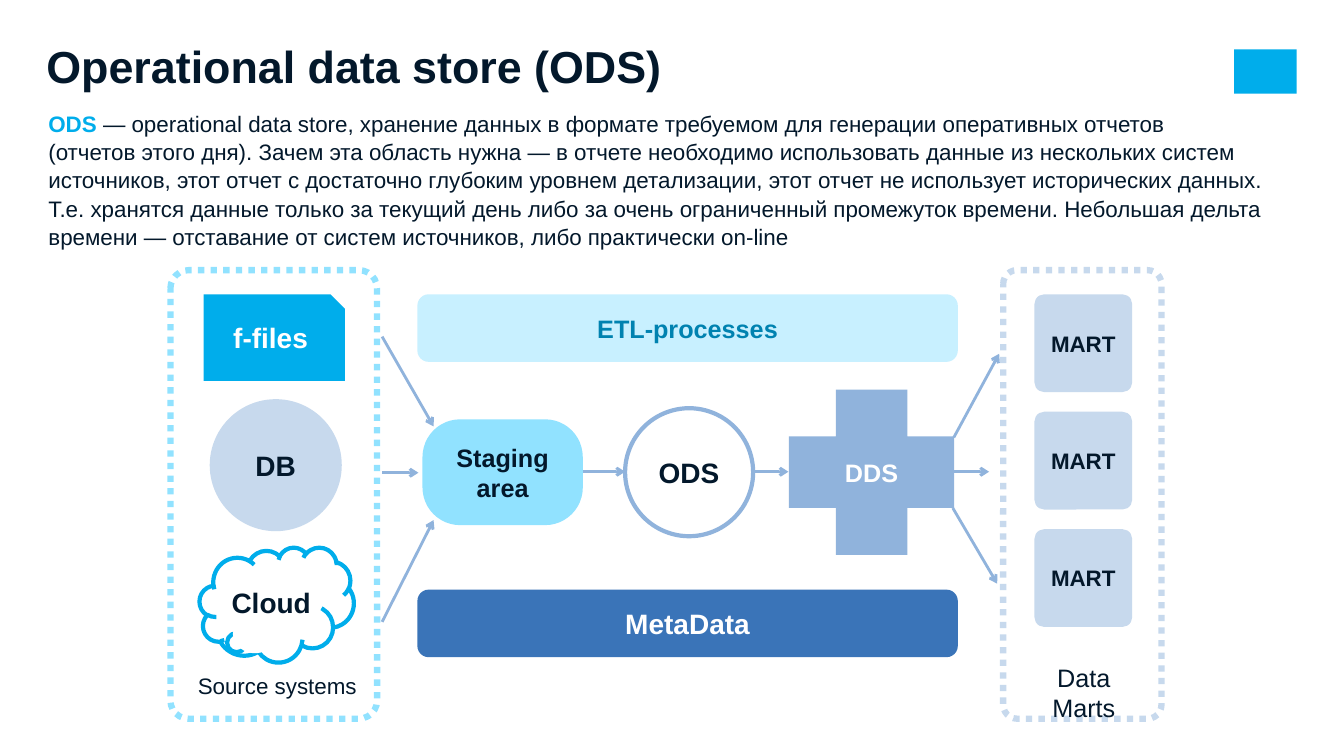
from lxml import etree
from pptx import Presentation
from pptx.dml.color import RGBColor
from pptx.enum.dml import MSO_LINE
from pptx.enum.shapes import MSO_CONNECTOR, MSO_SHAPE
from pptx.enum.text import MSO_ANCHOR, MSO_AUTO_SIZE, PP_ALIGN
from pptx.oxml.ns import qn
from pptx.util import Inches, Pt

ROUND = MSO_SHAPE.ROUNDED_RECTANGLE
OVAL = MSO_SHAPE.OVAL
SNIP = MSO_SHAPE.SNIP_ROUND_RECTANGLE
CLOUD = MSO_SHAPE.CLOUD_CALLOUT
PLUS = MSO_SHAPE.MATH_PLUS
RECT = MSO_SHAPE.RECTANGLE
STRAIGHT = MSO_CONNECTOR.STRAIGHT
DOTS = MSO_LINE.ROUND_DOT
CENTER = PP_ALIGN.CENTER
TOP, MIDDLE = MSO_ANCHOR.TOP, MSO_ANCHOR.MIDDLE
NO_FIT = MSO_AUTO_SIZE.NONE

COLORS = {
    "ink": "03182B", "white": "FFFFFF", "cyan": "00ADEB", "sky": "91E2FF",
    "ice": "C8F0FF", "teal": "0082B0", "pale": "C7D9ED", "steel": "90B3DC",
    "blue": "3A74B8",
}

INTRO = (
    "— operational data store, хранение данных в формате требуемом для "
    "генерации оперативных отчетов ",
    "(отчетов этого дня). Зачем эта область нужна — в отчете необходимо "
    "использовать данные из нескольких систем источников, этот отчет с "
    "достаточно глубоким уровнем детализации, этот отчет не использует "
    "исторических данных. Т.е. хранятся данные только за текущий день либо "
    "за очень ограниченный промежуток времени. Небольшая дельта времени — "
    "отставание от систем источников, либо практически on-line",
)


class Deck:
    def __init__(self):
        self.prs = Presentation()
        self.prs.slide_width = Inches(13.33)
        self.prs.slide_height = Inches(7.5)
        self.slide = self.prs.slides.add_slide(self.prs.slide_layouts[5])
        self.shapes = self.slide.shapes

    def color(self, name):
        return RGBColor.from_string(COLORS[name])

    def style(self, font, size, color, bold=False):
        font.name = "Arial"
        font.size = Pt(size)
        font.bold = bold
        font.color.rgb = self.color(color)

    def pad(self, frame):
        frame.margin_left = frame.margin_right = Inches(0.13)
        frame.margin_top = frame.margin_bottom = Inches(0.13)
        frame.word_wrap = True
        frame.auto_size = NO_FIT
        frame.vertical_anchor = TOP

    def title(self, text, x, y, w, h):
        box = self.shapes.title
        box.left, box.top, box.width, box.height = map(Inches, (x, y, w, h))
        self.pad(box.text_frame)
        para = box.text_frame.paragraphs[0]
        para.text = text
        para.alignment = PP_ALIGN.LEFT
        para.line_spacing = 1.05
        self.style(para.font, 32, "ink", True)

    def intro(self, term, lines, x, y, w, h):
        box = self.shapes.add_textbox(*map(Inches, (x, y, w, h)))
        self.pad(box.text_frame)
        para = box.text_frame.paragraphs[0]
        para.line_spacing = 1.05
        para.space_after = Pt(12)
        run = para.add_run()
        run.text = term
        self.style(run.font, 16, "cyan", True)
        for i, line in enumerate(lines):
            if i:
                para.add_line_break()
            run = para.add_run()
            run.text = line
            self.style(run.font, 16, "ink")

    def label(self, text, x, y, w, h, size, wrap):
        box = self.shapes.add_textbox(*map(Inches, (x, y, w, h)))
        box.text_frame.word_wrap = wrap
        para = box.text_frame.paragraphs[0]
        para.text = text
        para.alignment = CENTER
        self.style(para.font, size, "ink")

    def shape(self, kind, x, y, w, h, fill=None, line=None, width=3,
              dash=None, adj=(), text="", size=20, ink="ink"):
        item = self.shapes.add_shape(kind, *map(Inches, (x, y, w, h)))
        item.shadow.inherit = False
        for i, value in enumerate(adj):
            item.adjustments[i] = value
        if fill:
            item.fill.solid()
            item.fill.fore_color.rgb = self.color(fill)
        else:
            item.fill.background()
        if line:
            item.line.color.rgb = self.color(line)
            item.line.width = Pt(width)
            if dash:
                item.line.dash_style = dash
        else:
            item.line.fill.background()
        if text:
            frame = item.text_frame
            frame.vertical_anchor = MIDDLE
            frame.text = text
            for para in frame.paragraphs:
                para.alignment = CENTER
                self.style(para.font, size, ink, True)

    def arrow(self, x1, y1, x2, y2):
        line = self.shapes.add_connector(STRAIGHT, *map(Inches, (x1, y1, x2, y2)))
        line.line.color.rgb = self.color("steel")
        line.line.width = Pt(2)
        etree.SubElement(line.line._get_or_add_ln(), qn("a:tailEnd"), type="arrow")
        etree.SubElement(line._element.spPr, qn("a:effectLst"))


def main():
    deck = Deck()

    # Heading and definition
    deck.shape(RECT, 12.24, 0.49, 0.62, 0.44, "cyan")
    deck.intro("ODS ", INTRO, 0.35, 0.95, 12.51, 2.76)
    deck.title("Operational data store (ODS)", 0.33, 0.23, 9.1, 1.02)

    # Source systems
    deck.shape(CLOUD, 1.98, 5.43, 1.53, 1.14, "white", "cyan",
               adj=(-0.13, 0.165), text="Cloud")
    deck.shape(SNIP, 2.02, 2.92, 1.4, 0.86, "cyan", adj=(0, 0.167),
               text="f-files", ink="white")
    deck.shape(OVAL, 2.08, 3.96, 1.31, 1.31, "pale", text="DB")
    deck.shape(OVAL, 2.31, 6.1, 0.44, 0.38, "white")
    deck.label("Sourсe systems", 1.85, 6.62, 1.8, 0.37, 16, False)

    # Dotted frames around sources and marts
    for x, w, color in ((1.69, 2.05, "sky"), (9.95, 1.57, "pale")):
        deck.shape(ROUND, x, 2.68, w, 4.45, line=color, width=4.5,
                   dash=DOTS, adj=(0.088,))

    # Data marts
    for i in range(3):
        deck.shape(ROUND, 10.26, 2.92 + i * 1.165, 0.97, 0.97, "pale",
                   adj=(0.1,), text="MART", size=16)
    deck.label("Data Marts", 10.17, 6.52, 1.16, 0.33, 18, True)

    # Process bars
    for y, fill, text, size, ink in (
            (2.92, "ice", "ETL-processes", 18, "teal"),
            (5.85, "blue", "MetaData", 20, "white")):
        deck.shape(ROUND, 4.14, y, 5.36, 0.67, fill, text=text, size=size, ink=ink)

    # Storage stages
    deck.shape(ROUND, 4.19, 4.16, 1.59, 1.05, "sky", adj=(0.356,),
               text="Staging\narea", size=18)
    deck.shape(OVAL, 6.2, 4.05, 1.27, 1.27, "white", "steel", text="ODS")
    deck.shape(PLUS, 7.53, 3.57, 2.23, 2.23, "steel", adj=(0.318,),
               text="DDS", size=18, ink="white")

    # Data flow
    for ends in (
            (3.79, 6.17, 4.3, 5.16), (3.79, 4.69, 4.15, 4.69),
            (3.79, 3.34, 4.3, 4.23), (5.78, 4.68, 6.2, 4.68),
            (7.47, 4.68, 7.82, 4.68), (9.46, 4.68, 9.81, 4.68),
            (9.46, 4.34, 9.91, 3.51), (9.45, 5.04, 9.89, 5.79)):
        deck.arrow(*ends)

    deck.prs.save("out.pptx")


if __name__ == "__main__":
    main()
